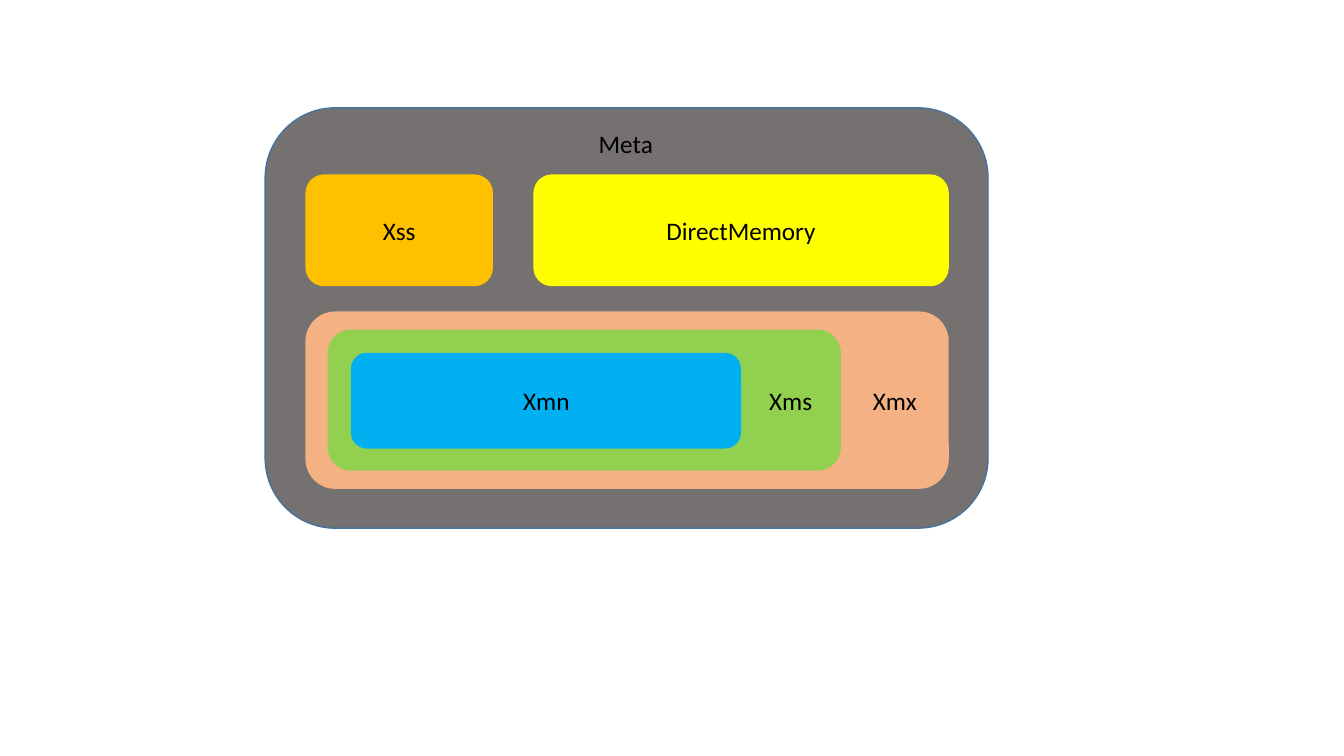
from pptx import Presentation
from pptx.dml.color import RGBColor
from pptx.enum.shapes import MSO_SHAPE
from pptx.enum.text import MSO_ANCHOR, MSO_AUTO_SIZE, PP_ALIGN
from pptx.util import Inches, Pt

ROUNDED = MSO_SHAPE.ROUNDED_RECTANGLE
MIDDLE = MSO_ANCHOR.MIDDLE
CENTER = PP_ALIGN.CENTER
LEFT = PP_ALIGN.LEFT
FIT_SHAPE = MSO_AUTO_SIZE.SHAPE_TO_FIT_TEXT


def rgb(color):
    return RGBColor.from_string(color)


def write(tf, text, size=18, font="Calibri", color="000000", align=LEFT):
    p = tf.paragraphs[0]
    p.alignment = align
    r = p.add_run()
    r.text = text
    r.font.size = Pt(size)
    r.font.name = font
    r.font.color.rgb = rgb(color)


prs = Presentation()
prs.slide_width = Inches(13.33)
prs.slide_height = Inches(7.5)
s = prs.slides.add_slide(prs.slide_layouts[6])

regions = [
    (2.63, 1.07, 7.17, 4.17, "767171", "43739E", ""),
    (3.03, 1.73, 1.86, 1.11, "FFC000", None, "Xss"),
    (5.29, 1.73, 4.12, 1.11, "FFFF00", None, "DirectMemory"),
    (3.03, 3.09, 6.38, 1.76, "F4B183", None, ""),
    (3.25, 3.27, 5.09, 1.4, "92D050", None, ""),
    (3.48, 3.5, 3.87, 0.95, "00B0F0", None, ""),
]
for left, top, width, height, fill, line, text in regions:
    sp = s.shapes.add_shape(
        ROUNDED, Inches(left), Inches(top), Inches(width), Inches(height))
    sp.shadow.inherit = False
    sp.fill.solid()
    sp.fill.fore_color.rgb = rgb(fill)
    if line:
        sp.line.color.rgb = rgb(line)
        sp.line.width = Pt(1)
    else:
        sp.line.fill.background()
    if text:
        sp.text_frame.vertical_anchor = MIDDLE
        write(sp.text_frame, text, align=CENTER)

labels = [
    (5.84, 1.22, 0.74, "Meta"),
    (8.56, 3.77, 0.64, "Xmx"),
    (7.53, 3.77, 0.64, "Xms"),
    (5.09, 3.77, 0.67, "Xmn"),
]
for left, top, width, text in labels:
    sp = s.shapes.add_textbox(
        Inches(left), Inches(top), Inches(width), Inches(0.4))
    tf = sp.text_frame
    tf.word_wrap = False
    tf.auto_size = FIT_SHAPE
    write(tf, text)

prs.save("out.pptx")
